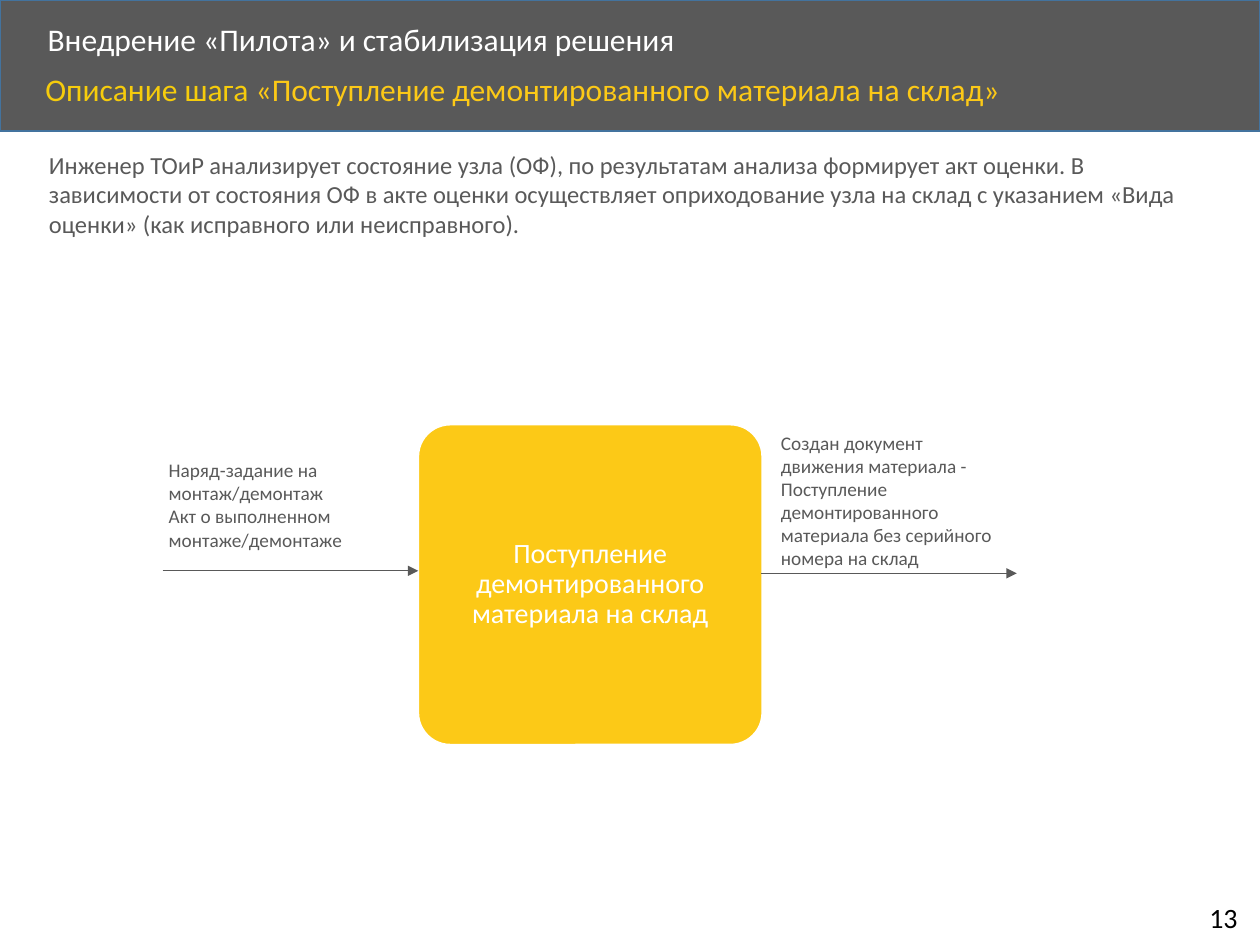
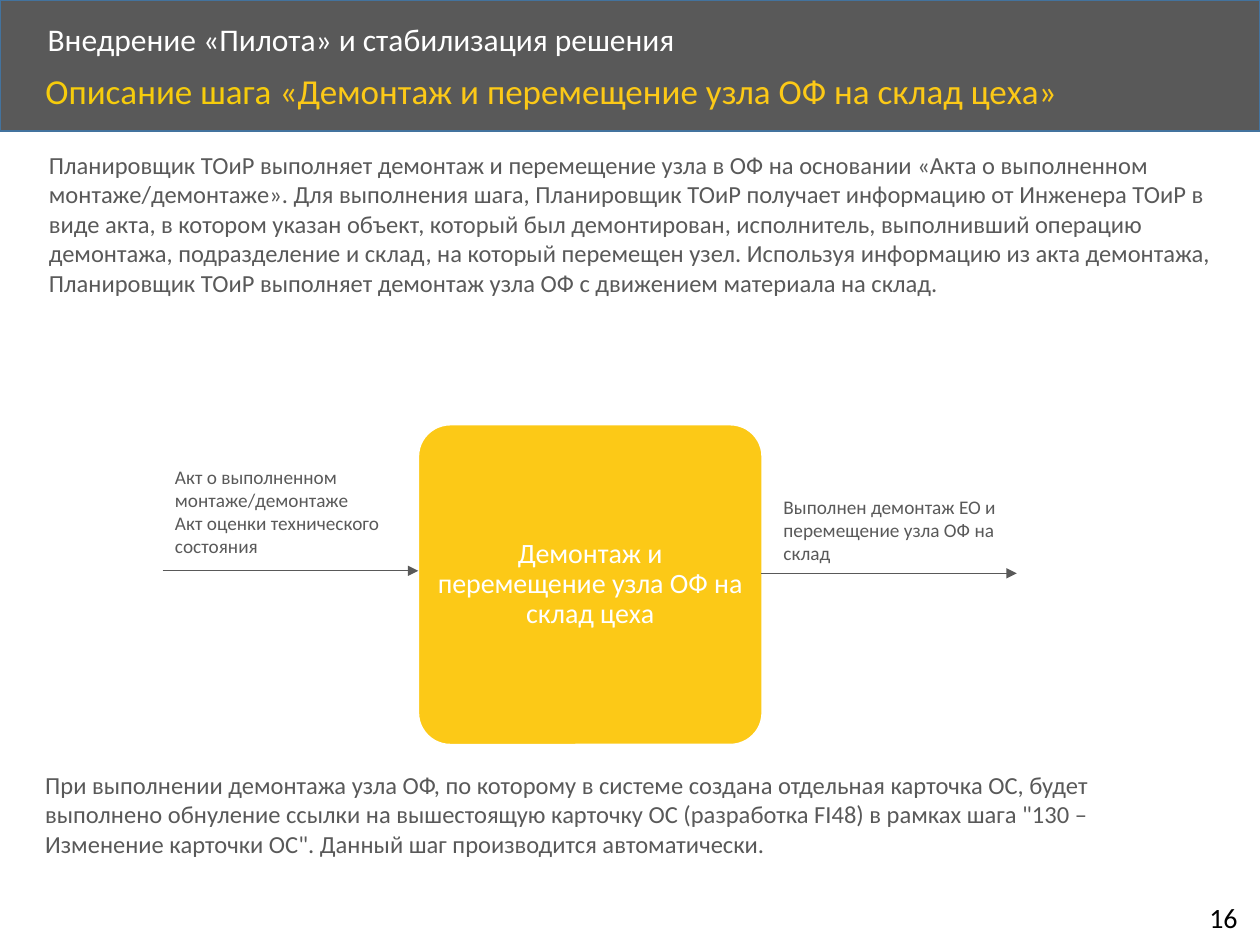
import pptx
import pptx.util
import pptx.dml.color
import pptx.enum.shapes
import pptx.enum.text
import lxml.etree

Inches, Pt = pptx.util.Inches, pptx.util.Pt
Align = pptx.enum.text.PP_ALIGN
Anchor = pptx.enum.text.MSO_ANCHOR
Shape = pptx.enum.shapes.MSO_SHAPE

# Shared colours and text formats
GREY, GOLD, WHITE, BLACK = "595959", "FCC917", "FFFFFF", "000000"
AMBER, BLUE = "F6CC0C", "43739E"

TOP = {"vertical_anchor": Anchor.TOP, "word_wrap": True,
       "auto_size": pptx.enum.text.MSO_AUTO_SIZE.NONE}
MID = TOP | {"vertical_anchor": Anchor.MIDDLE}
TIGHT = MID | {side: Inches(0.07) for side in ("margin_left", "margin_right",
                                               "margin_top", "margin_bottom")}
LEFT = {"alignment": Align.LEFT}
DENSE = LEFT | {"line_spacing": 0.9}
CENTRE = DENSE | {"alignment": Align.CENTER}


def hue(code):
    return pptx.dml.color.RGBColor.from_string(code)


def write(shape, lines, size, tint, frame=TOP, para=LEFT):
    """Fill a shape with paragraphs; each line is a list of text runs."""
    text = shape.text_frame
    for name, value in frame.items():
        setattr(text, name, value)
    for i, line in enumerate(lines):
        p = text.add_paragraph() if i else text.paragraphs[0]
        for name, value in para.items():
            setattr(p, name, value)
        for part in line:
            run = p.add_run()
            run.text = part
            for name, value in {"name": "Calibri", "size": Pt(size)}.items():
                setattr(run.font, name, value)
            run.font.color.rgb = hue(tint)


# Content of each slide; boxes are left, top, width, height
steps = [
    {
        "page": "13",
        "size": 18,
        "step": "Поступление демонтированного материала на склад",
        "input": ((1.24, 3.59, 2, 0.84),
                  ["Наряд-задание на монтаж/демонтаж",
                   "Акт о выполненном монтаже/демонтаже"]),
        "output": ((6.1, 3.37, 2, 1.21),
                   ["Создан документ движения материала - Поступление "
                    "демонтированного материала без серийного номера на склад"]),
        "notes": [
            ((0.29, 1.14, 9.46, 0.81),
             "Инженер ТОиР анализирует состояние узла (ОФ), по результатам "
             "анализа формирует акт оценки. В зависимости от состояния ОФ в акте "
             "оценки осуществляет оприходование узла на склад с указанием «Вида "
             "оценки» (как исправного или неисправного)."),
        ],
    },
    {
        "page": "16",
        "size": 20,
        "step": "Демонтаж и перемещение узла ОФ на склад цеха",
        "input": ((1.29, 3.64, 2, 0.84),
                  ["Акт о выполненном монтаже/демонтаже",
                   "Акт оценки технического состояния"]),
        "output": ((6.12, 3.88, 2, 0.66),
                   ["Выполнен демонтаж ЕО и перемещение узла ОФ на склад"]),
        "notes": [
            ((0.29, 1.14, 9.46, 1.28),
             "Планировщик ТОиР выполняет демонтаж и перемещение узла в ОФ на "
             "основании «Акта о выполненном монтаже/демонтаже». Для выполнения "
             "шага, Планировщик ТОиР получает информацию от Инженера ТОиР в виде "
             "акта, в котором указан объект, который был демонтирован, "
             "исполнитель, выполнивший операцию демонтажа, подразделение и "
             "склад, на который перемещен узел. Используя информацию из акта "
             "демонтажа, Планировщик ТОиР выполняет демонтаж узла ОФ с движением "
             "материала на склад."),
            ((0.26, 6.06, 9.19, 0.81),
             "При выполнении демонтажа узла ОФ, по которому в системе создана "
             "отдельная карточка ОС, будет выполнено обнуление ссылки на "
             "вышестоящую карточку ОС (разработка FI48) в рамках шага \"130 – "
             "Изменение карточки ОС\". Данный шаг производится автоматически."),
        ],
    },
]

deck = pptx.Presentation()
deck.slide_width, deck.slide_height = Inches(10), Inches(7.5)

for step in steps:
    slide = deck.slides.add_slide(deck.slide_layouts[5])
    shapes = slide.shapes

    # Header band and step box
    band = shapes.add_shape(Shape.RECTANGLE, 0, 0, Inches(10), Inches(1.04))
    card = shapes.add_shape(Shape.ROUNDED_RECTANGLE,
                            *map(Inches, (3.32, 3.37, 2.73, 2.54)))
    card.adjustments[0] = 0.1
    for shape, fill, edge in ((band, GREY, BLUE), (card, GOLD, WHITE)):
        shape.shadow.inherit = False
        shape.fill.solid()
        shape.fill.fore_color.rgb = hue(fill)
        shape.line.color.rgb = hue(edge)
        shape.line.width = Pt(1)
    write(card, [[step["step"]]], 16, WHITE, TIGHT, CENTRE)

    # Title, lifted above the band
    title = shapes.title
    band._element.addnext(title._element)
    spot = {"left": 0.26, "top": 0.54, "width": 8.67, "height": 0.45}
    for name, value in spot.items():
        setattr(title, name, Inches(value))
    write(title, [["Описание шага ", f"«{step['step']}»"]],
          step["size"], GOLD, TOP, DENSE)
    title.text_frame.paragraphs[0].runs[0].font.color.rgb = hue(AMBER)

    # Section name, page number, flow labels and notes
    labels = [
        ((0.28, 0.14, 8.07, 0.38), ["Внедрение «Пилота» и стабилизация решения"],
         18, WHITE, MID, DENSE),
        ((9.5, 7.1, 0.46, 0.37), [step["page"]], 16, BLACK, TOP, LEFT),
    ]
    for key in ("input", "output"):
        labels.append((*step[key], 11, GREY, TOP, LEFT))
    for box, note in step["notes"]:
        labels.append((box, [note], 14, GREY, TOP, LEFT))
    for box, lines, *style in labels:
        write(shapes.add_textbox(*map(Inches, box)),
              [[line] for line in lines], *style)

    # Arrows into and out of the step box
    for start, end, y in ((1.29, 3.32, 4.53), (6.04, 8.07, 4.55)):
        arrow = shapes.add_connector(pptx.enum.shapes.MSO_CONNECTOR.STRAIGHT,
                                     *map(Inches, (start, y, end, y)))
        arrow.line.color.rgb = hue(GREY)
        arrow.line.width = Pt(0.5)
        ns = pptx.oxml.ns.qn
        lxml.etree.SubElement(arrow.line._get_or_add_ln(), ns("a:tailEnd"),
                              type="triangle")
        lxml.etree.SubElement(arrow._element.spPr, ns("a:effectLst"))

deck.save("out.pptx")
